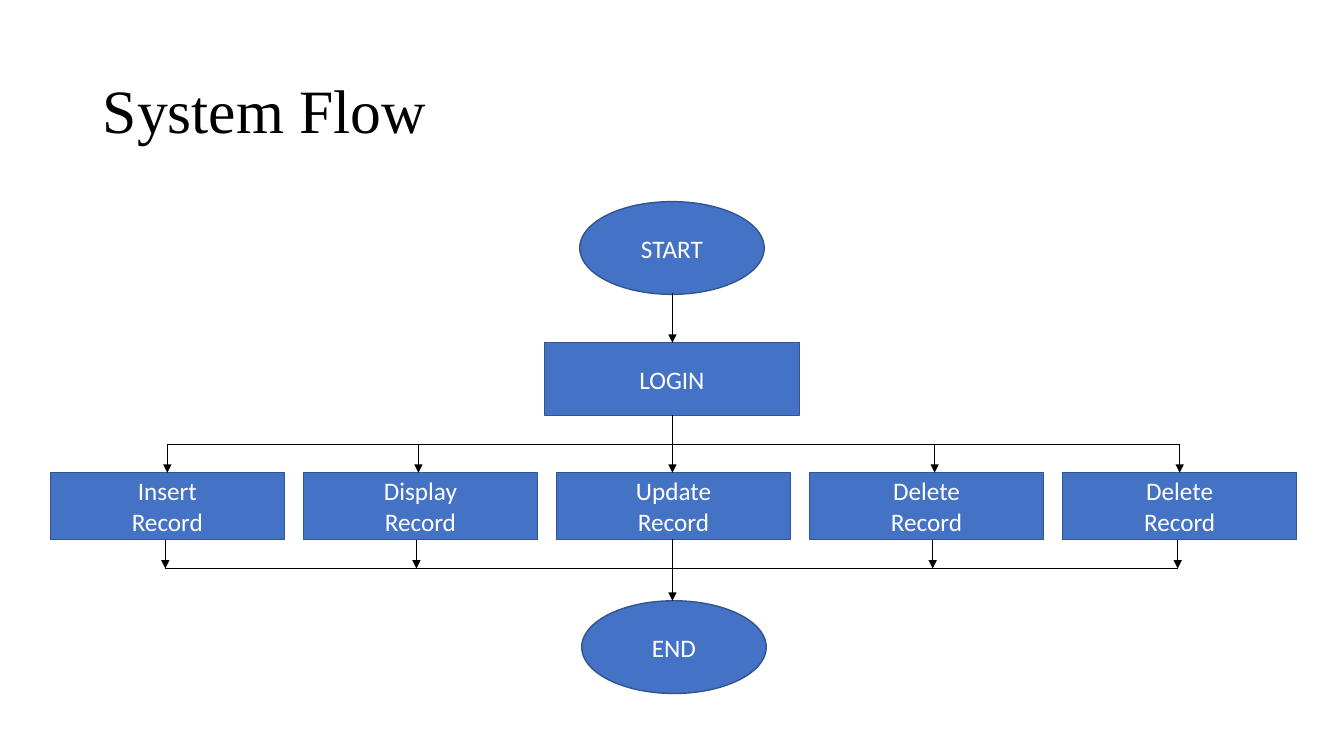
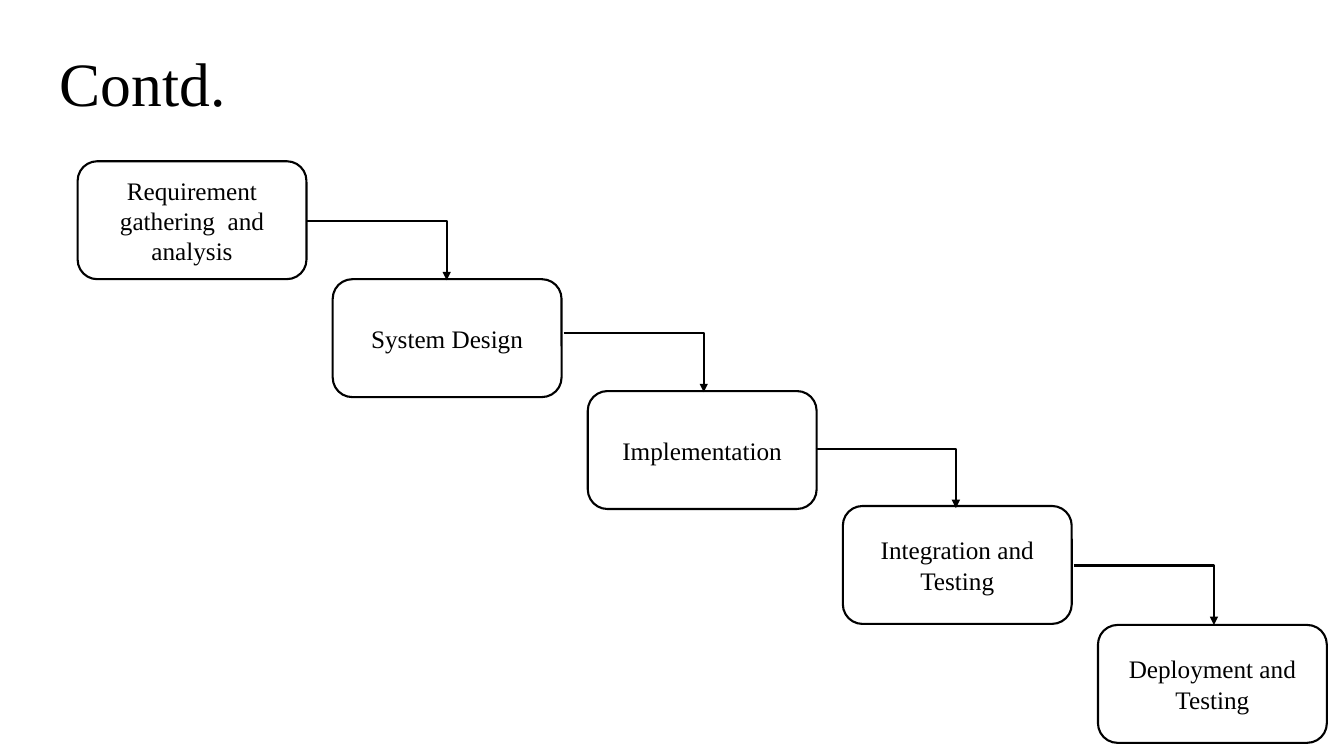
from lxml.etree import SubElement
from pptx import Presentation
from pptx.dml.color import RGBColor
from pptx.enum.shapes import MSO_CONNECTOR, MSO_SHAPE
from pptx.enum.text import MSO_ANCHOR, MSO_AUTO_SIZE, PP_ALIGN
from pptx.oxml.ns import qn
from pptx.util import Inches, Pt


def color(value):
    return RGBColor.from_string(value)


class Deck:
    SERIF, SANS = "Times New Roman", "Calibri"
    BLACK, WHITE = "000000", "FFFFFF"
    BLUE, NAVY = "4472C4", "325491"

    def __init__(self):
        self.prs = Presentation()
        self.prs.slide_width = Inches(13.33)
        self.prs.slide_height = Inches(7.5)
        self.s = None

    def style(self, p, font, size, ink, align):
        p.font.name = font
        p.font.size = Pt(size)
        p.font.color.rgb = color(ink)
        p.alignment = align

    def slide(self, title, left, top):
        self.s = self.prs.slides.add_slide(self.prs.slide_layouts[5])
        sp = self.s.shapes.title
        sp.left, sp.top = Inches(left), Inches(top)
        sp.width, sp.height = Inches(11.5), Inches(1.45)
        tf = sp.text_frame
        tf.text = title
        tf.word_wrap = True
        tf.auto_size = MSO_AUTO_SIZE.NONE
        tf.vertical_anchor = MSO_ANCHOR.MIDDLE
        p = tf.paragraphs[0]
        p.line_spacing = 0.9
        self.style(p, self.SERIF, 44, self.BLACK, PP_ALIGN.LEFT)

    def node(self, kind, text, box, fill, line, weight, font, ink):
        sp = self.s.shapes.add_shape(kind, *map(Inches, box))
        sp.shadow.inherit = False
        sp.fill.solid()
        sp.fill.fore_color.rgb = color(fill)
        sp.line.color.rgb = color(line)
        sp.line.width = Pt(weight)
        tf = sp.text_frame
        tf.text = text
        tf.word_wrap = True
        tf.vertical_anchor = MSO_ANCHOR.MIDDLE
        for p in tf.paragraphs:
            self.style(p, font, 18, ink, PP_ALIGN.CENTER)

    def flow_node(self, kind, text, *box):
        self.node(kind, text, box, self.BLUE, self.NAVY, 1, self.SANS, self.WHITE)

    def step(self, text, *box):
        self.node(MSO_SHAPE.ROUNDED_RECTANGLE, text, box, self.WHITE,
                  self.BLACK, 1.5, self.SERIF, self.BLACK)

    def connector(self, x1, y1, x2, y2, weight=0.5, arrow=True, bent=False):
        kind = MSO_CONNECTOR.ELBOW if bent else MSO_CONNECTOR.STRAIGHT
        cxn = self.s.shapes.add_connector(kind, *map(Inches, (x1, y1, x2, y2)))
        cxn.line.color.rgb = color(self.BLACK)
        cxn.line.width = Pt(weight)
        spPr = cxn._element.spPr
        if bent:
            spPr.find(qn("a:prstGeom")).set("prst", "bentConnector2")
        if arrow:
            SubElement(spPr.find(qn("a:ln")), qn("a:tailEnd"), type="triangle")
        SubElement(spPr, qn("a:effectLst"))


deck = Deck()

deck.slide("System Flow", 0.92, 0.4)
center = 6.67
deck.flow_node(MSO_SHAPE.OVAL, "START", 5.75, 2, 1.83, 0.92)
deck.flow_node(MSO_SHAPE.RECTANGLE, "LOGIN", 5.4, 3.4, 2.53, 0.72)
for i, action in enumerate(["Insert", "Display", "Update", "Delete", "Delete"]):
    deck.flow_node(MSO_SHAPE.RECTANGLE, f"{action}\nRecord",
                   0.5 + 2.51 * i, 4.69, 2.32, 0.66)
deck.flow_node(MSO_SHAPE.OVAL, "END", 5.77, 5.96, 1.83, 0.92)

for top, bottom in [(2.91, 3.4), (4.12, 4.69), (5.35, 5.96)]:
    deck.connector(center, top, center, bottom)
branches = [1.66, 4.15, 9.27, 11.7]
for shift, top, bottom, rail in [(0, 4.41, 4.69, 4.41), (-0.02, 5.36, 5.64, 5.64)]:
    deck.connector(branches[0] + shift, rail, branches[-1] + shift, rail, arrow=False)
    for x in branches:
        deck.connector(x + shift, top, x + shift, bottom)

deck.slide("Contd.", 0.49, 0.13)
steps = [
    ("Requirement gathering  and analysis", 1.6),
    ("System Design", 2.77),
    ("Implementation", 3.88),
    ("Integration and Testing", 5.02),
    ("Deployment and Testing", 6.2),
]
for i, (text, top) in enumerate(steps):
    deck.step(text, 0.77 + 2.53 * i, top, 2.27, 1.17)
for x, y in [(3.04, 2.19), (5.59, 3.3), (8.09, 4.45), (10.65, 5.61)]:
    deck.connector(x, y, x + 1.39, y + 0.59, weight=1.5, bent=True)

deck.prs.save("out.pptx")
